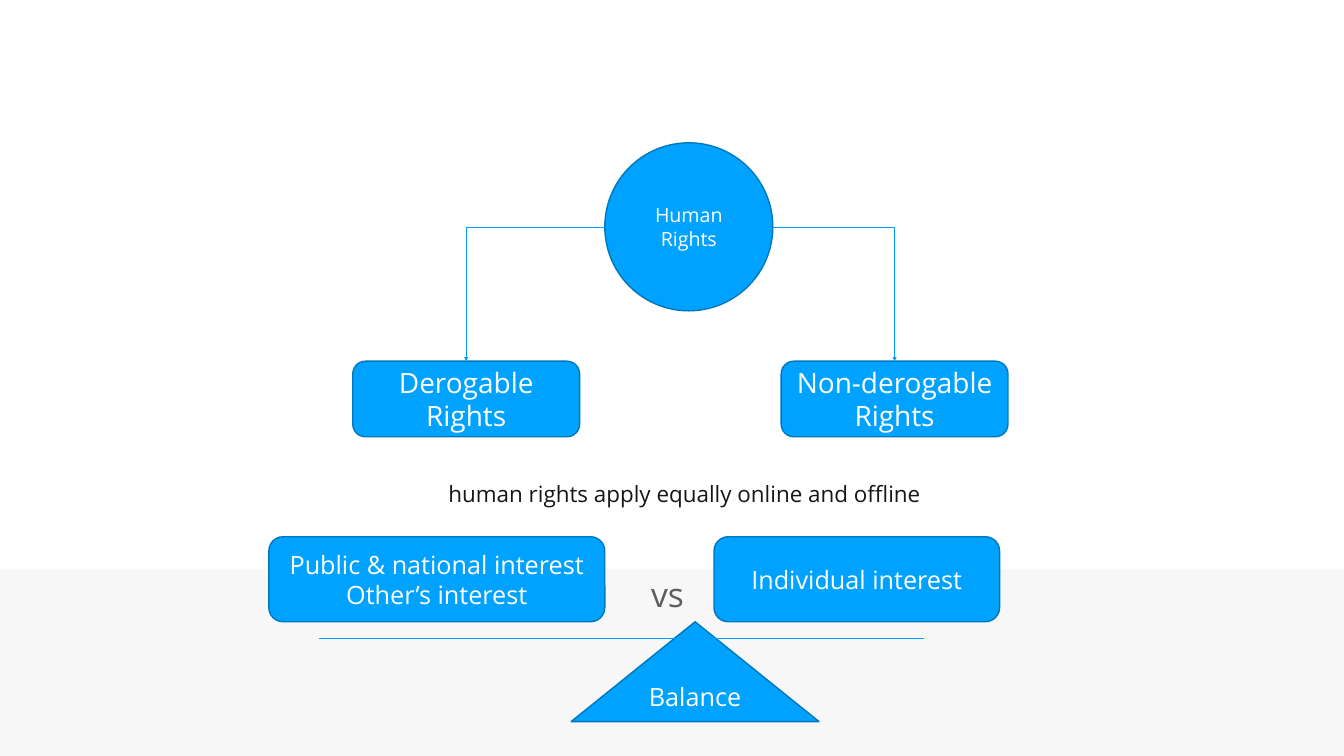
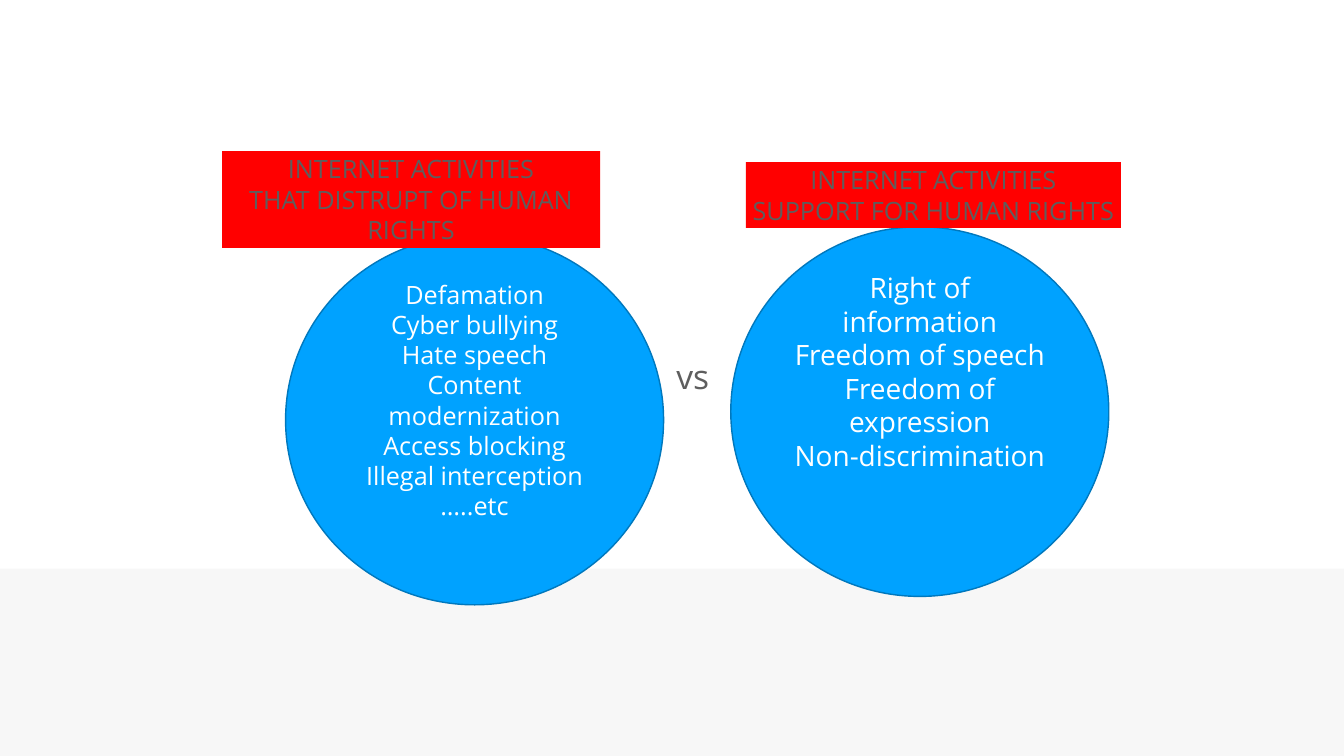
from dataclasses import dataclass

from lxml import etree
from pptx import Presentation
from pptx.dml.color import RGBColor
from pptx.enum.shapes import MSO_CONNECTOR, MSO_SHAPE
from pptx.enum.text import MSO_ANCHOR, PP_ALIGN
from pptx.oxml.ns import qn
from pptx.util import Inches, Pt

RECT, ROUNDED = MSO_SHAPE.RECTANGLE, MSO_SHAPE.ROUNDED_RECTANGLE
OVAL, TRIANGLE = MSO_SHAPE.OVAL, MSO_SHAPE.ISOSCELES_TRIANGLE
STRAIGHT, ELBOW = MSO_CONNECTOR.STRAIGHT, MSO_CONNECTOR.ELBOW
TOP, MIDDLE, BOTTOM = MSO_ANCHOR.TOP, MSO_ANCHOR.MIDDLE, MSO_ANCHOR.BOTTOM
CENTER = PP_ALIGN.CENTER

COLUMNS, ROWS = 80, 45
CELL = Inches(1 / 3)


@dataclass(frozen=True)
class Theme:
    font: str = "Open Sans"
    blue: str = "00A2FF"
    edge: str = "0078BD"
    rule: str = "009EF9"
    red: str = "FF0000"
    band: str = "F7F7F7"
    white: str = "FFFFFF"
    gray: str = "5E5E5E"
    ink: str = "161616"
    small: int = 28
    caption: int = 32
    body: int = 36
    large: int = 40
    versus: int = 48
    edge_width: float = 2
    rule_width: float = 0.75


THEME = Theme()


@dataclass(frozen=True)
class Box:
    """A region measured in grid columns and rows."""
    left: float
    top: float
    width: float
    height: float

    def area(self, left, top, width, height):
        return Box(self.left + left, self.top + top, width, height)

    def point(self, column, row):
        return round((self.left + column) * CELL), round((self.top + row) * CELL)

    def frame(self):
        return [round(side * CELL)
                for side in (self.left, self.top, self.width, self.height)]


def write(shape, lines, size, color, anchor=MIDDLE, wrap=True, **margins):
    frame = shape.text_frame
    settings = {"word_wrap": wrap, "vertical_anchor": anchor}
    settings.update({f"margin_{side}": Inches(gap) for side, gap in margins.items()})
    for name, value in settings.items():
        setattr(frame, name, value)
    for index, line in enumerate(lines):
        para = frame.paragraphs[0] if index == 0 else frame.add_paragraph()
        para.alignment = CENTER
        span = para.add_run()
        span.text = line
        for name, value in {"name": THEME.font, "size": Pt(size)}.items():
            setattr(span.font, name, value)
        span.font.color.rgb = RGBColor.from_string(color)


def add_panel(slide, kind, box, fill, edge=None):
    panel = slide.shapes.add_shape(kind, *box.frame())
    panel.shadow.inherit = False
    panel.fill.solid()
    panel.fill.fore_color.rgb = RGBColor.from_string(fill)
    if edge:
        panel.line.color.rgb = RGBColor.from_string(edge)
        panel.line.width = Pt(THEME.edge_width)
    else:
        panel.line.fill.background()
    return panel


def add_node(slide, kind, box, lines, size, **margins):
    """Blue outlined shape with white text."""
    node = add_panel(slide, kind, box, THEME.blue, THEME.edge)
    write(node, lines, size, THEME.white, **margins)


def add_label(slide, box, lines, size, color, **layout):
    label = slide.shapes.add_textbox(*box.frame())
    write(label, lines, size, color, **layout)


def add_versus(slide, box):
    add_label(slide, box, ["vs"], THEME.versus, THEME.gray, wrap=False)


def add_rule(slide, kind, start, end):
    rule = slide.shapes.add_connector(kind, *start, *end)
    rule.line.color.rgb = RGBColor.from_string(THEME.rule)
    rule.line.width = Pt(THEME.rule_width)
    properties = rule._element.spPr
    etree.SubElement(properties, qn("a:effectLst"))
    if kind == ELBOW:
        properties.find(qn("a:prstGeom")).set("prst", "bentConnector2")
        line = properties.find(qn("a:ln"))
        etree.SubElement(line, qn("a:tailEnd"), type="triangle")


def add_page(deck):
    """Blank page with the shared gray band along the bottom quarter."""
    page = deck.slides.add_slide(deck.slide_layouts[6])
    add_panel(page, RECT, Box(0, 33.84, COLUMNS, ROWS - 33.84), THEME.band)
    return page


def rights_tree(slide, box):
    circle = 10
    circle_left = 15
    card_width, card_height = 13.5, 4.5
    card_top = box.height - card_height
    add_node(slide, OVAL, box.area(circle_left, 0, circle, circle),
             ["Human Rights"], THEME.small)
    branches = (
        ("Derogable Rights", 0, circle_left),
        ("Non-derogable Rights", box.width - card_width, circle_left + circle),
    )
    for text, left, exit_column in branches:
        add_node(slide, ROUNDED, box.area(left, card_top, card_width, card_height),
                 [text], THEME.large)
        add_rule(slide, ELBOW, box.point(exit_column, circle / 2),
                 box.point(left + card_width / 2, card_top))


def balance(slide, box):
    card_height = 5.06
    cards = (
        (0, 20, ["Public & national interest", "Other’s interest"]),
        (26.5, 17, ["Individual interest"]),
    )
    for left, width, lines in cards:
        add_node(slide, ROUNDED, box.area(left, 0, width, card_height),
                 lines, THEME.body)
    add_versus(slide, box.area(22.45, 2.05, 2.58, 2.72))
    add_node(slide, TRIANGLE,
             box.area(18, card_height, 14.75, box.height - card_height),
             ["Balance"], THEME.body)
    add_rule(slide, STRAIGHT, box.point(3, 6.05), box.point(39, 6.05))


def activities(slide, box, heading, heading_box, wrap, lines, size, lift):
    """Circle of activities, its text raised by lift inches, under a red heading."""
    add_node(slide, OVAL, box, lines, size, bottom=lift)
    panel = add_panel(slide, RECT, box.area(*heading_box), THEME.red)
    write(panel, heading, THEME.body, THEME.gray, anchor=TOP, wrap=wrap)


def rights_page(deck):
    page = add_page(deck)
    rights_tree(page, Box(21, 8.5, 39, 17.5))
    balance(page, Box(16, 31.95, 43.5, 11))
    add_label(page, Box(23.5, 27.75, 34, 2.72),
              ["human rights apply equally online and offline"],
              THEME.caption, THEME.ink, anchor=BOTTOM, left=0.27, bottom=0.1)


def activities_page(deck):
    page = add_page(deck)
    activities(
        page, Box(17, 14, 22.5, 22),
        ["INTERNET ACTIVITIES", "THAT DISTRUPT OF HUMAN RIGHTS"],
        (-3.78, -5, 22.5, 5.75), True,
        ["Defamation", "Cyber bullying", "Hate speech", "Content modernization",
         "Access blocking", "Illegal interception", "…..etc"],
        THEME.body, 0.85)
    activities(
        page, Box(43.5, 13.5, 22.5, 22),
        ["INTERNET ACTIVITIES", "SUPPORT FOR HUMAN RIGHTS"],
        (0.9, -3.85, 22.32, 3.92), False,
        ["Right of information", "Freedom of speech", "Freedom of expression",
         "Non-discrimination"],
        THEME.large, 1.65)
    add_versus(page, Box(39.95, 21, 2.58, 2.72))


def main():
    deck = Presentation()
    deck.slide_width = COLUMNS * CELL
    deck.slide_height = ROWS * CELL
    rights_page(deck)
    activities_page(deck)
    deck.save("out.pptx")


if __name__ == "__main__":
    main()
